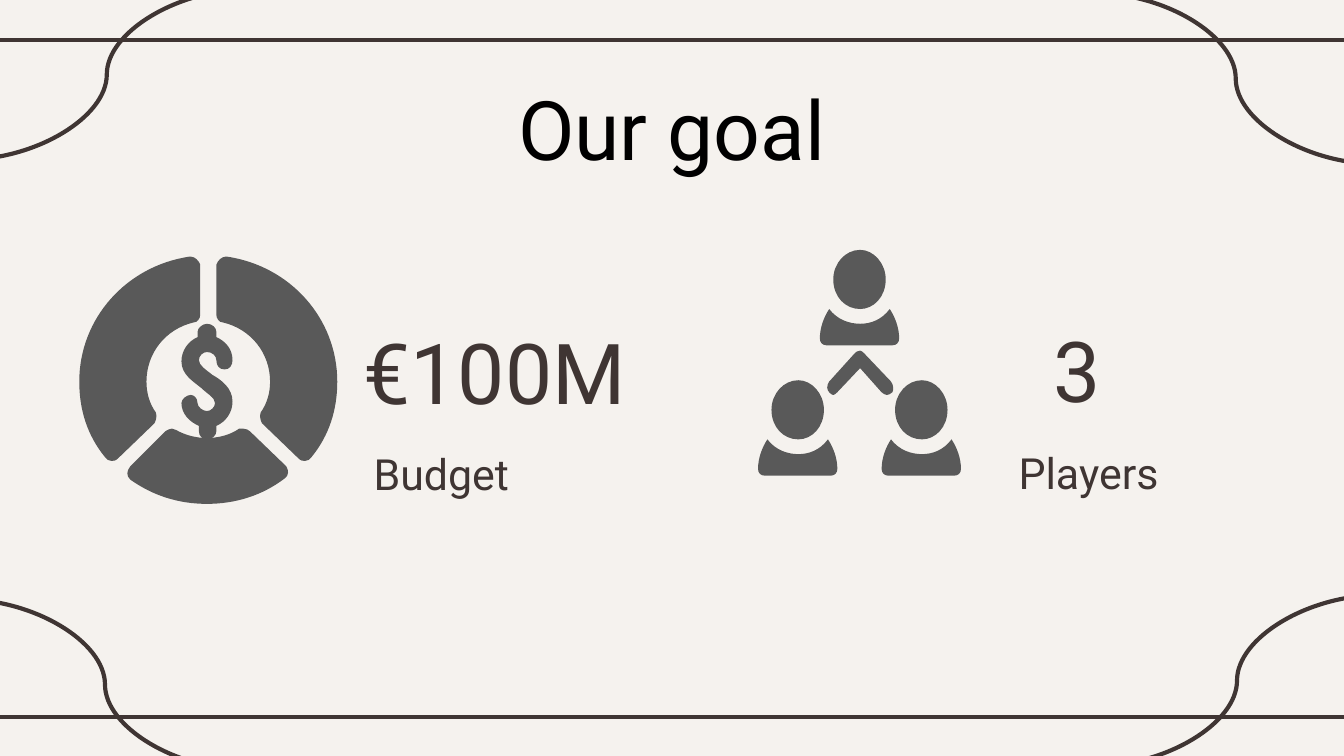
from pptx import Presentation
from pptx import util as u
from pptx.dml.color import RGBColor
from pptx.enum import shapes, text
from pptx.oxml.ns import qn
from lxml import etree


class Theme:
    paper = RGBColor.from_string("F5F2EE")
    ink = RGBColor.from_string("3F3533")
    black = RGBColor.from_string("000000")
    icon = RGBColor.from_string("595959")
    font = "Roboto"
    title, figure, label, rule = u.Pt(44), u.Pt(45), u.Pt(23), u.Pt(2.25)


GRID = u.Cm(0.0254)  # one unit of the icon drawing grid


def draw_outline(group, outline, dx=0, dy=0, mirror=None):
    """Draw grid points; pairs are straight segments, sextets Bézier curves."""
    segments = []
    for numbers in outline:
        pairs = zip(numbers[::2], numbers[1::2])
        segments.append([
            (((x if mirror is None else 2 * mirror - x) + dx) * GRID, (y + dy) * GRID)
            for x, y in pairs
        ])
    corners = [segment[-1] for segment in segments]
    builder = group.shapes.build_freeform(*corners[0], scale=1.0)
    builder.add_line_segments(corners[1:], close=True)
    shape = builder.convert_to_shape()
    # Turn the segments that have control points into curves
    for step, segment in zip(list(shape._element.iter(qn("a:lnTo"))), segments[1:]):
        if len(segment) == 3:
            step.tag = qn("a:cubicBezTo")
            for place, (x, y) in enumerate(segment[:2]):
                point = etree.Element(qn("a:pt"), x=str(x - shape.left), y=str(y - shape.top))
                step.insert(place, point)
    shape.fill.solid()
    shape.fill.fore_color.rgb = Theme.icon
    shape.line.fill.background()
    shape.shadow.inherit = False


deck = Presentation()
deck.slide_width, deck.slide_height = u.Cm(25.4), u.Cm(14.29)
page = deck.slides.add_slide(deck.slide_layouts[6])
page.background.fill.solid()
page.background.fill.fore_color.rgb = Theme.paper

# Frame: two rules and four corner curves
straight, curve = shapes.MSO_CONNECTOR.STRAIGHT, shapes.MSO_CONNECTOR.CURVE
for kind, *ends in [
    (straight, -0.2, 0.76, 25.6, 0.76),
    (straight, -0.2, 13.55, 25.6, 13.55),
    (curve, -0.69, 11.33, 4.66, 14.55),
    (curve, 20.68, -0.13, 26.03, 3.1),
    (curve, 26.06, 11.25, 20.7, 14.48),
    (curve, 4.7, -0.2, -0.66, 3.02),
]:
    rule = page.shapes.add_connector(kind, *map(u.Cm, ends))
    rule.line.color.rgb = Theme.ink
    rule.line.width = Theme.rule
    etree.SubElement(rule._element.spPr, qn("a:effectLst"))

# Title, figures and labels
left, center = text.PP_ALIGN.LEFT, text.PP_ALIGN.CENTER
top, middle = text.MSO_ANCHOR.TOP, text.MSO_ANCHOR.MIDDLE
for words, place, size, color, align, anchor, inset in [
    ("Our goal", (1.98, 1.24, 21.44, 1.6), Theme.title, Theme.black, center, top, 0.25),
    ("Players", (19.25, 8.64, 3.05, 0.84), Theme.label, Theme.ink, left, middle, 0),
    ("3", (19.66, 5.79, 1.65, 2.36), Theme.figure, Theme.ink, left, middle, 0.25),
    ("Budget", (7.06, 8.59, 4.88, 0.97), Theme.label, Theme.ink, left, middle, 0),
    ("€100M", (6.62, 5.83, 6.15, 2.36), Theme.figure, Theme.ink, left, middle, 0.25),
]:
    box = page.shapes.add_textbox(*map(u.Cm, place))
    frame = box.text_frame
    frame.word_wrap = True
    frame.vertical_anchor = anchor
    frame.margin_left = frame.margin_top = u.Cm(inset)
    frame.margin_right = frame.margin_bottom = u.Cm(0.25)
    para = frame.paragraphs[0]
    para.text = words
    para.alignment = align
    para.font.name, para.font.size = Theme.font, size
    para.font.color.rgb = color

# Budget icon: a ring in three slices around a dollar sign
side_slice = [
    (141, 191), (94, 198, 59, 237, 59, 284),
    (59, 305, 65, 324, 78, 340), (79, 342, 81, 343, 83, 343), (85, 343, 86, 343, 88, 341),
    (115, 315), (116, 313, 117, 310, 116, 307), (111, 300, 109, 292, 109, 284),
    (109, 263, 123, 245, 144, 240), (147, 240, 149, 237, 149, 234), (149, 197),
    (148, 194, 145, 191, 142, 191),
]
bottom_slice = [
    (181, 319), (180, 319, 179, 319, 178, 319), (171, 324, 162, 326, 154, 326),
    (146, 326, 138, 324, 131, 320), (130, 320, 129, 319, 128, 319),
    (126, 319, 125, 320, 123, 321), (97, 347), (94, 351, 94, 354, 97, 357),
    (114, 369, 133, 375, 154, 375), (175, 375, 195, 369, 212, 356),
    (215, 354, 215, 350, 213, 347), (186, 321), (185, 320, 183, 319, 181, 319),
]
dollar = [
    (154, 241), (151, 241, 147, 244, 147, 247), (147, 251), (140, 254, 135, 261, 135, 269),
    (135, 279, 144, 284, 150, 289), (154, 293, 160, 296, 160, 300),
    (160, 303, 157, 306, 154, 306), (151, 306, 147, 303, 147, 300),
    (147, 296, 144, 294, 142, 294), (139, 294, 135, 297, 135, 300),
    (135, 308, 141, 314, 148, 317), (148, 321), (148, 325, 151, 327, 154, 327),
    (158, 327, 161, 324, 161, 321), (161, 317), (168, 314, 173, 307, 173, 299),
    (173, 289, 165, 283, 158, 279), (153, 275, 148, 272, 148, 268),
    (148, 265, 151, 262, 154, 262), (158, 262, 161, 265, 161, 268),
    (161, 272, 163, 275, 167, 275), (171, 275, 173, 272, 173, 268),
    (173, 260, 168, 254, 161, 251), (161, 247), (161, 244, 158, 241, 154, 241),
]
budget = page.shapes.add_group_shape()
draw_outline(budget, side_slice)
draw_outline(budget, bottom_slice)
draw_outline(budget, side_slice, mirror=155)
draw_outline(budget, dollar)

# Players icon: three people joined by a chevron
head = [
    (640, 186), (629, 186, 620, 196, 620, 208), (620, 221, 629, 230, 640, 230),
    (650, 230, 659, 221, 659, 208), (659, 196, 650, 186, 640, 186),
]
shoulders = [
    (617, 230), (613, 236, 610, 244, 610, 252), (610, 255, 612, 257, 615, 257), (664, 257),
    (667, 257, 669, 255, 669, 252), (669, 244, 666, 236, 662, 230),
    (656, 238, 648, 241, 640, 241), (632, 241, 623, 238, 617, 230),
]
chevron = [
    (640, 261), (638, 261, 637, 262, 636, 263), (617, 284), (615, 287, 615, 290, 617, 292),
    (618, 293, 619, 294, 620, 294), (621, 294, 622, 293, 623, 292), (640, 274), (656, 292),
    (657, 293, 659, 294, 660, 294), (661, 294, 663, 293, 664, 292),
    (665, 290, 665, 287, 663, 284), (643, 263), (642, 262, 641, 261, 640, 261),
]
players = page.shapes.add_group_shape()
draw_outline(players, chevron)
for dx, dy in [(0, 0), (46, 97), (-46, 97)]:
    draw_outline(players, shoulders, dx, dy)
    draw_outline(players, head, dx, dy)

deck.save("out.pptx")
